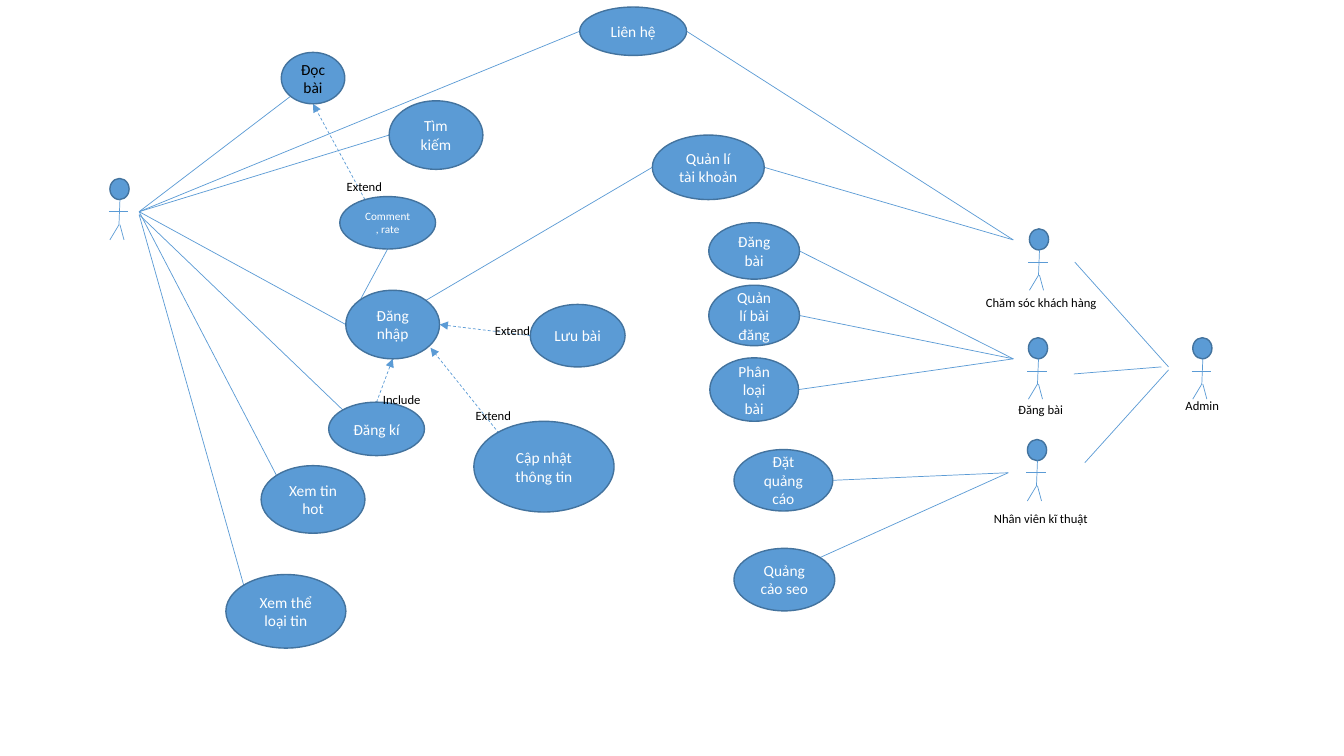
from lxml import etree
from pptx import Presentation
from pptx import util as u
from pptx.dml.color import RGBColor
from pptx.enum import dml, shapes, text
from pptx.oxml import ns

BLUE = RGBColor(0x5B, 0x9B, 0xD5)
OUTLINE = RGBColor(0x43, 0x73, 0x9E)
WHITE = RGBColor(0xFF, 0xFF, 0xFF)
BLACK = RGBColor(0, 0, 0)
FONT = "Calibri"
CM_PER_INCH = 2.54

SIDES = {
    "top": (0.5, 0), "bottom": (0.5, 1), "left": (0, 0.5), "right": (1, 0.5),
    "top left": (0.15, 0.15), "top right": (0.85, 0.15),
    "bottom left": (0.15, 0.85), "bottom right": (0.85, 0.85),
}

USE_CASES = {
    "Đọc bài": (2.79, 0.52, 0.63, 0.51),
    "Tìm kiếm": (3.86, 1, 0.93, 0.68),
    "Comment, rate": (3.37, 1.95, 0.95, 0.52),
    "Đăng nhập": (3.43, 2.88, 0.93, 0.68),
    "Đăng kí": (3.26, 3.99, 0.95, 0.53),
    "Xem tin hot": (2.59, 4.62, 1.03, 0.67),
    "Xem thể loại tin": (2.24, 5.7, 1.19, 0.73),
    "Cập nhật thông tin": (4.7, 4.18, 1.39, 0.9),
    "Lưu bài": (5.26, 3.02, 0.94, 0.62),
    "Liên hệ": (5.75, 0.07, 1.06, 0.48),
    "Quản lí tài khoản": (6.47, 1.34, 1.11, 0.64),
    "Đăng bài": (7.03, 2.21, 0.9, 0.56),
    "Quản lí bài đăng": (7.03, 2.83, 0.9, 0.6),
    "Phân loại bài": (7.04, 3.55, 0.88, 0.63),
    "Đặt quảng cáo": (7.28, 4.46, 0.98, 0.61),
    "Quảng cảo seo": (7.28, 5.44, 1, 0.62),
}
TEXT_SIZES = {"Comment, rate": 8}
TEXT_COLOURS = {"Đọc bài": BLACK}

ACTORS = [(1.09, 1.77), (10.21, 2.27), (10.2, 3.35), (10.19, 4.36), (11.83, 3.35)]
LIMBS = [
    ((0.1, 0.21), (0.09, 0.46)),
    ((-0.01, 0.33), (0.18, 0.33)),
    ((0.09, 0.46), (0, 0.61)),
    ((0.1, 0.46), (0.14, 0.61)),
]

VISITOR, VISITOR_LOW = (1.38, 2.1), (1.38, 2.13)
SUPPORT, EDITOR, TECHNICIAN = (10.05, 2.38), (10.05, 3.56), (10, 4.69)
ASSOCIATIONS = [
    (VISITOR, ("Đọc bài", "bottom left")),
    (VISITOR, ("Liên hệ", "left")),
    (VISITOR, ("Tìm kiếm", "left")),
    (VISITOR, ("Đăng nhập", "left")),
    (VISITOR_LOW, ("Đăng kí", "top left")),
    (VISITOR, ("Xem tin hot", "top left")),
    (VISITOR_LOW, ("Xem thể loại tin", "top left")),
    (("Comment, rate", "bottom"), ("Đăng nhập", "top left")),
    (("Đăng nhập", "top right"), ("Quản lí tài khoản", "left")),
    (("Liên hệ", "right"), SUPPORT),
    (("Quản lí tài khoản", "right"), SUPPORT),
    (("Đăng bài", "right"), EDITOR),
    (("Quản lí bài đăng", "right"), EDITOR),
    (("Phân loại bài", "right"), EDITOR),
    (("Đặt quảng cáo", "right"), TECHNICIAN),
    (("Quảng cảo seo", "top right"), TECHNICIAN),
    ((10.66, 2.6), (11.59, 3.64)),
    ((10.65, 3.71), (11.52, 3.64)),
    ((10.76, 4.59), (11.59, 3.67)),
]
DEPENDENCIES = [
    ((3.62, 1.98), ("Đọc bài", "bottom")),
    (("Đăng kí", "top"), ("Đăng nhập", "bottom")),
    (("Lưu bài", "left"), ("Đăng nhập", "right")),
    ((4.95, 4.3), (4.27, 3.45)),
]
LABELS = [
    ("Extend", (3.34, 1.73, 0.56, 0.25)),
    ("Include", (3.7, 3.84, 0.58, 0.25)),
    ("Extend", (4.62, 4, 0.56, 0.25)),
    ("Extend", (4.81, 3.15, 0.56, 0.25)),
    ("Chăm sóc khách hàng", (9.68, 2.88, 1.3, 0.25)),
    ("Đăng bài", (10, 3.94, 0.65, 0.25)),
    ("Nhân viên kĩ thuật", (9.76, 5.02, 1.14, 0.25)),
    ("Admin", (11.66, 3.9, 0.54, 0.25)),
]


def lengths(inches):
    """Turn a series of inch values into slide lengths."""
    return [u.Cm(value * CM_PER_INCH) for value in inches]


def locate(end):
    """Return the point of a link end given as a point or a use case side."""
    if end[0] not in USE_CASES:
        return end
    left, top, width, height = USE_CASES[end[0]]
    across, down = SIDES[end[1]]
    return left + across * width, top + down * height


def add_line(page, start, end, dependency=False):
    """Draw a thin line, dashed with an arrowhead for a dependency."""
    line = page.shapes.add_connector(
        shapes.MSO_CONNECTOR.STRAIGHT, *lengths((*locate(start), *locate(end))))
    line.line.color.rgb = BLUE
    line.line.width = u.Pt(0.5)
    if dependency:
        line.line.dash_style = dml.MSO_LINE.DASH
        etree.SubElement(line.line._get_or_add_ln(), ns.qn("a:tailEnd"), type="triangle")
    etree.SubElement(line._element.spPr, ns.qn("a:effectLst"))


def add_ellipse(page, area):
    """Draw a blue outlined ellipse and return it."""
    ellipse = page.shapes.add_shape(shapes.MSO_SHAPE.OVAL, *lengths(area))
    ellipse.shadow.inherit = False
    ellipse.fill.solid()
    ellipse.fill.fore_color.rgb = BLUE
    ellipse.line.color.rgb = OUTLINE
    ellipse.line.width = u.Pt(1)
    return ellipse


def write(box, words, size, colour):
    """Write one run into the first paragraph of a shape and return the paragraph."""
    para = box.text_frame.paragraphs[0]
    span = para.add_run()
    span.text = words
    span.font.name = FONT
    span.font.size = u.Pt(size)
    span.font.color.rgb = colour
    return para


def add_use_case(page, name, area):
    """Draw an ellipse with the centred name of a use case."""
    ellipse = add_ellipse(page, area)
    ellipse.text_frame.word_wrap = True
    ellipse.text_frame.vertical_anchor = text.MSO_ANCHOR.MIDDLE
    para = write(ellipse, name, TEXT_SIZES.get(name, 11), TEXT_COLOURS.get(name, WHITE))
    para.alignment = text.PP_ALIGN.CENTER


def add_actor(page, left, top):
    """Draw a stick figure whose head starts at the given point."""
    add_ellipse(page, (left, top, 0.19, 0.21))
    for limb in LIMBS:
        add_line(page, *[(left + x, top + y) for x, y in limb])


def add_label(page, words, area):
    """Place a small black label that does not wrap."""
    box = page.shapes.add_textbox(*lengths(area))
    box.text_frame.word_wrap = False
    box.text_frame.auto_size = text.MSO_AUTO_SIZE.SHAPE_TO_FIT_TEXT
    write(box, words, 9, BLACK)


def main():
    """Build the use case diagram and save the deck."""
    deck = Presentation()
    deck.slide_width, deck.slide_height = lengths((13.33, 7.5))
    page = deck.slides.add_slide(deck.slide_layouts[6])
    for start, end in ASSOCIATIONS:
        add_line(page, start, end)
    for start, end in DEPENDENCIES:
        add_line(page, start, end, dependency=True)
    for name, area in USE_CASES.items():
        add_use_case(page, name, area)
    for left, top in ACTORS:
        add_actor(page, left, top)
    for words, area in LABELS:
        add_label(page, words, area)
    deck.save("out.pptx")


main()
